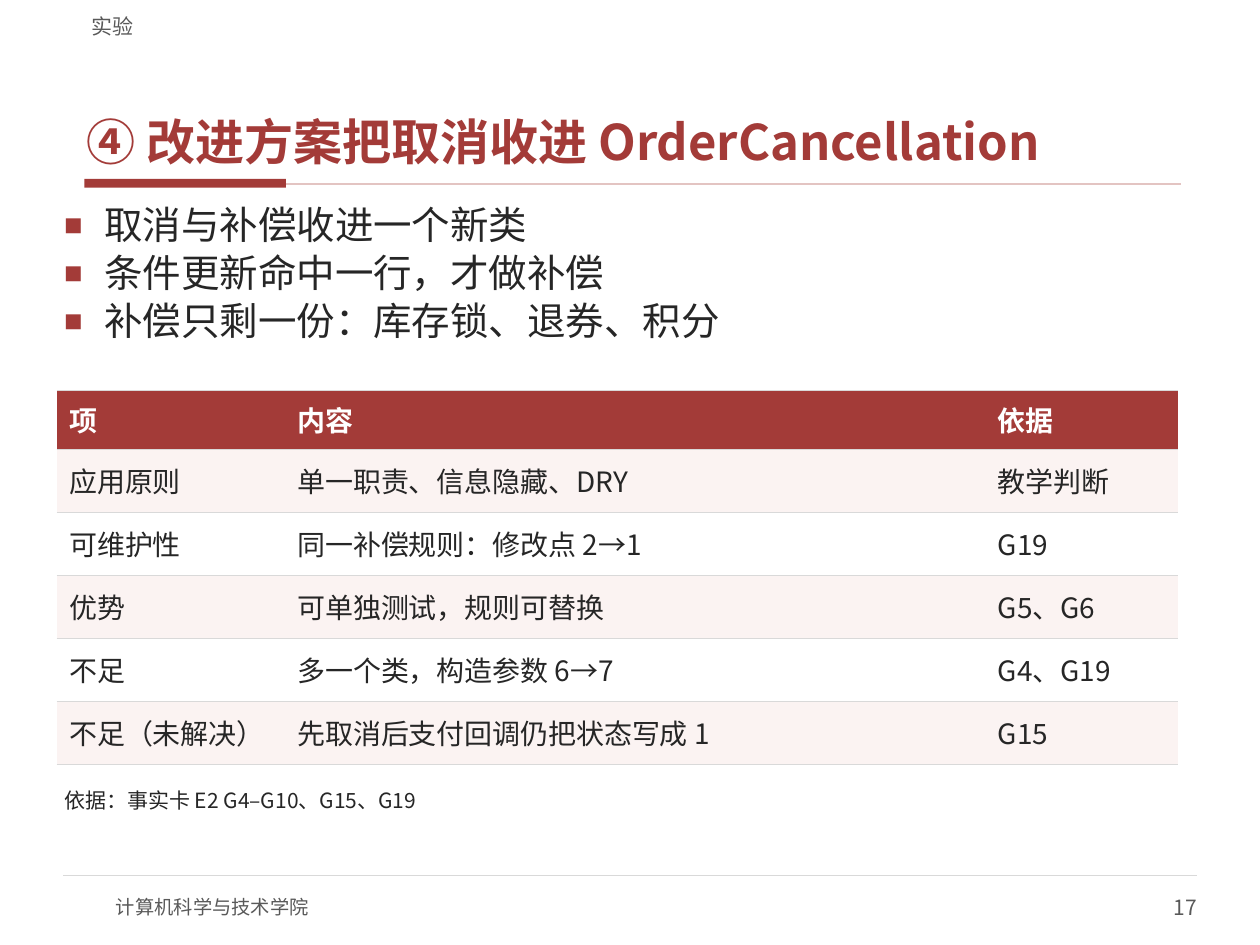
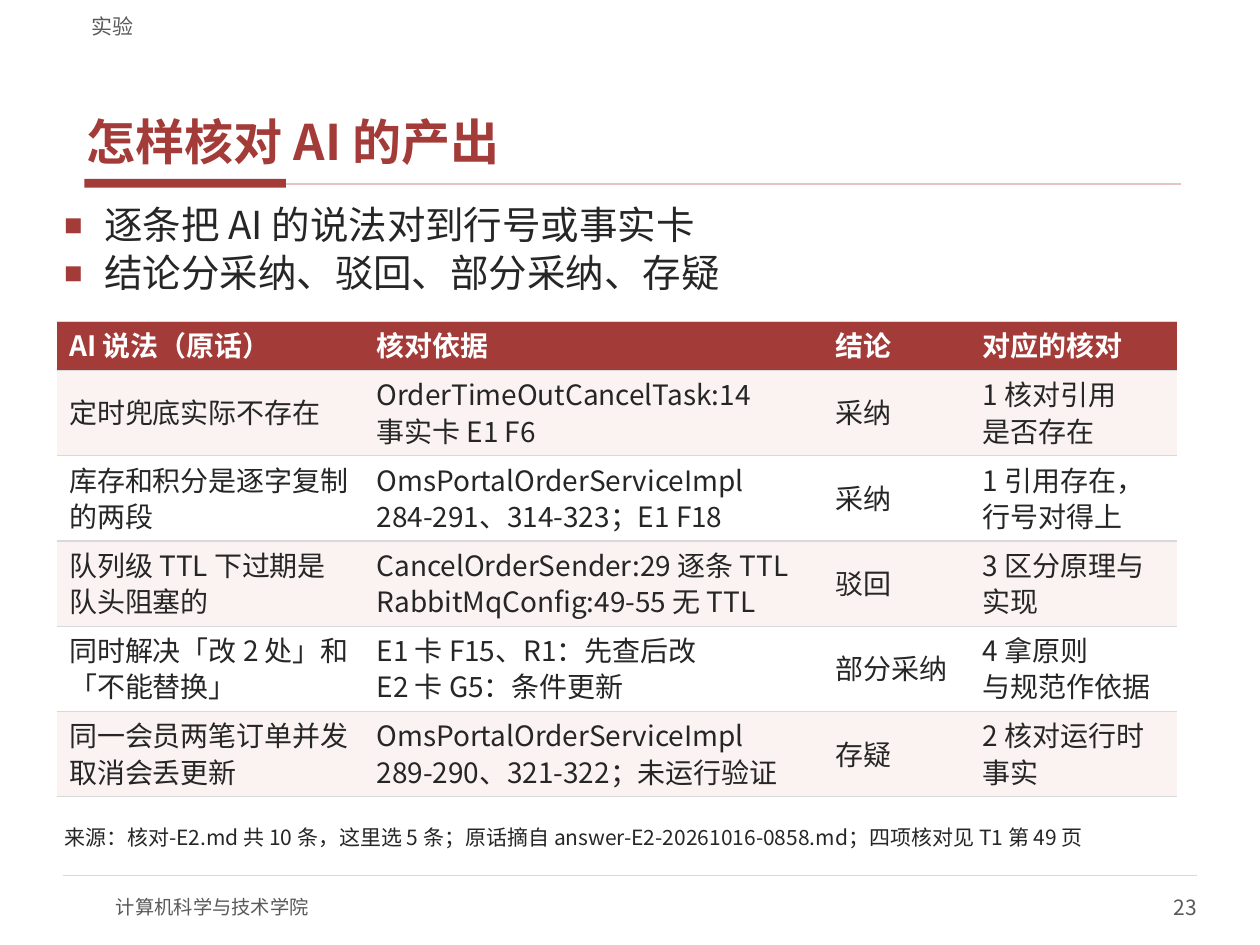
import dataclasses

import pptx
import pptx.dml.color
import pptx.enum.shapes
import pptx.enum.text
import pptx.oxml
import pptx.oxml.ns
import pptx.util
from pptx.util import Inches

Align = pptx.enum.text.PP_ALIGN
Anchor = pptx.enum.text.MSO_ANCHOR
qualify = pptx.oxml.ns.qn


@dataclasses.dataclass(frozen=True)
class Theme:
    font: str = "Noto Sans CJK SC"
    accent: str = "A33B38"
    accent_line: str = "E3C4C2"
    band: str = "FBF3F2"
    white: str = "FFFFFF"
    rule: str = "D9D9D9"
    ink: str = "262626"
    muted: str = "595959"
    title_size: float = 28
    body_size: float = 22
    table_size: float = 16
    note_size: float = 12
    footer_size: float = 11


def rgb(color):
    return pptx.dml.color.RGBColor.from_string(color)


def add_element(parent, tag, **attributes):
    element = parent.makeelement(qualify(tag), attributes)
    parent.append(element)
    return element


def add_bullet(para, color):
    properties = para._p.get_or_add_pPr()
    indent = Inches(0.32)
    properties.set("marL", str(indent))
    properties.set("indent", str(-indent))
    add_element(add_element(properties, "a:buClr"), "a:srgbClr", val=color)
    add_element(properties, "a:buSzPct", val="80000")
    add_element(properties, "a:buChar", char="■")


def write_text(frame, text, *, size, color, font, bold=False, align=Align.LEFT,
               anchor=Anchor.TOP, insets=(0.06, 0.02), line_spacing=1.0,
               before=0, after=0, bullet_color=None):
    frame.word_wrap = True
    frame.auto_size = pptx.enum.text.MSO_AUTO_SIZE.NONE
    frame.vertical_anchor = anchor
    frame.margin_left = frame.margin_right = Inches(insets[0])
    frame.margin_top = frame.margin_bottom = Inches(insets[1])
    frame.text = text
    for index, para in enumerate(frame.paragraphs):
        para.alignment = align
        para.line_spacing = line_spacing
        para.space_before = pptx.util.Pt(before if index else 0)
        para.space_after = pptx.util.Pt(after)
        if bullet_color:
            add_bullet(para, bullet_color)
        for span in para.runs:
            span.font.name = font
            span.font.size = pptx.util.Pt(size)
            span.font.bold = bold
            span.font.color.rgb = rgb(color)
            add_element(span.font._element, "a:ea", typeface=font)


class PageBuilder:
    def __init__(self, deck, theme):
        self.deck = deck
        self.theme = theme
        self.page = None

    def start(self, title, bullets, number):
        theme = self.theme
        self.page = self.deck.slides.add_slide(self.deck.slide_layouts[1])
        self.bar(0.67, 1.42, 1.6, 0.07)
        self.line(2.27, 9.37, 1.46, theme.accent_line, 1)
        self.line(0.5, 9.5, 6.95, theme.rule, 0.75)
        self.text("计算机科学与技术学院", 0.92, 7, 4, 0.4, size=theme.footer_size,
                  color=theme.muted, anchor=Anchor.MIDDLE, insets=(0, 0))
        self.text(str(number), 7.5, 7, 2, 0.4, size=theme.note_size, color=theme.muted,
                  align=Align.RIGHT, anchor=Anchor.MIDDLE, insets=(0, 0))
        self.text("实验", 0.63, 0.04, 8.75, 0.27, size=theme.note_size,
                  color=theme.muted, anchor=Anchor.BOTTOM, insets=(0.1, 0))
        self.title(title)
        self.bullets(bullets)

    def place(self, box, left, top, width, height):
        box.left, box.top = Inches(left), Inches(top)
        box.width, box.height = Inches(width), Inches(height)

    def title(self, text):
        box = self.page.shapes.title
        self.place(box, 0.63, 0.33, 8.75, 1.05)
        write_text(box.text_frame, text, size=self.theme.title_size, bold=True,
                   color=self.theme.accent, font=self.theme.font,
                   anchor=Anchor.BOTTOM, line_spacing=0.9, after=2)

    def bullets(self, items):
        box = self.page.placeholders[1]
        self.place(box, 0.45, 1.62, 9.1, 0.46 * len(items) - 0.01)
        write_text(box.text_frame, "\n".join(items), size=self.theme.body_size,
                   color=self.theme.ink, font=self.theme.font, line_spacing=0.9,
                   before=1.6, after=2, bullet_color=self.theme.accent)

    def text(self, text, left, top, width, height, **style):
        box = self.page.shapes.add_textbox(
            Inches(left), Inches(top), Inches(width), Inches(height))
        write_text(box.text_frame, text, font=self.theme.font, **style)

    def note(self, text, top):
        self.text(text, 0.45, top, 9.1, 0.32, size=self.theme.note_size,
                  color=self.theme.ink, after=2)

    def bar(self, left, top, width, height):
        bar = self.page.shapes.add_shape(
            pptx.enum.shapes.MSO_SHAPE.RECTANGLE,
            Inches(left), Inches(top), Inches(width), Inches(height))
        bar.shadow.inherit = False
        bar.fill.solid()
        bar.fill.fore_color.rgb = rgb(self.theme.accent)
        bar.line.fill.background()

    def line(self, start, end, top, color, width):
        line = self.page.shapes.add_connector(
            pptx.enum.shapes.MSO_CONNECTOR.STRAIGHT,
            Inches(start), Inches(top), Inches(end), Inches(top))
        line.line.color.rgb = rgb(color)
        line.line.width = pptx.util.Pt(width)
        add_element(line._element.spPr, "a:effectLst")

    def borders(self, cell):
        properties = cell._tc.get_or_add_tcPr()
        for side in ("a:lnL", "a:lnR"):
            add_element(add_element(properties, side, w="0"), "a:noFill")
        for side in ("a:lnT", "a:lnB"):
            edge = add_element(properties, side, w=str(pptx.util.Pt(0.75)))
            add_element(add_element(edge, "a:solidFill"), "a:srgbClr", val=self.theme.rule)

    def table(self, top, widths, header_height, row_height, rows):
        theme = self.theme
        heights = [header_height] + [row_height] * (len(rows) - 1)
        frame = self.page.shapes.add_table(
            len(rows), len(widths), Inches(0.45), Inches(top),
            Inches(sum(widths)), Inches(sum(heights)))
        table = frame.table
        table.first_row = table.horz_banding = False
        for column, width in zip(table.columns, widths):
            column.width = Inches(width)
        for index, (row, height, texts) in enumerate(zip(table.rows, heights, rows)):
            row.height = Inches(height)
            header = index == 0
            fill = theme.accent if header else theme.band if index % 2 else theme.white
            for cell, text in zip(row.cells, texts):
                self.borders(cell)
                cell.fill.solid()
                cell.fill.fore_color.rgb = rgb(fill)
                cell.vertical_anchor = Anchor.MIDDLE
                cell.margin_left = cell.margin_right = Inches(0.1)
                cell.margin_top = cell.margin_bottom = Inches(0.05)
                self.cell_text(cell, text, header)

    def cell_text(self, cell, text, header):
        theme = self.theme
        cell.text = text
        for para in cell.text_frame.paragraphs:
            para.line_spacing = 0.9
            para.space_before = para.space_after = pptx.util.Pt(0)
            for span in para.runs:
                span.font.name = theme.font
                span.font.size = pptx.util.Pt(theme.table_size)
                span.font.bold = header
                span.font.color.rgb = rgb(theme.white if header else theme.ink)
                add_element(span.font._element, "a:ea", typeface=theme.font)


def main():
    deck = pptx.Presentation()
    deck.slide_width, deck.slide_height = Inches(10), Inches(7.5)
    builder = PageBuilder(deck, Theme())

    builder.start("④ 改进方案把取消收进 OrderCancellation", [
        "取消与补偿收进一个新类",
        "条件更新命中一行，才做补偿",
        "补偿只剩一份：库存锁、退券、积分",
    ], 17)
    builder.table(3.1, (1.81, 5.56, 1.53), 0.47, 0.5, [
        ("项", "内容", "依据"),
        ("应用原则", "单一职责、信息隐藏、DRY", "教学判断"),
        ("可维护性", "同一补偿规则：修改点 2→1", "G19"),
        ("优势", "可单独测试，规则可替换", "G5、G6"),
        ("不足", "多一个类，构造参数 6→7", "G4、G19"),
        ("不足（未解决）", "先取消后支付回调仍把状态写成 1", "G15"),
    ])
    builder.note("依据：事实卡 E2 G4–G10、G15、G19", 6.23)

    builder.start("怎样核对 AI 的产出", [
        "逐条把 AI 的说法对到行号或事实卡",
        "结论分采纳、驳回、部分采纳、存疑",
    ], 23)
    builder.table(2.55, (2.44, 3.64, 1.17, 1.64), 0.39, 0.58, [
        ("AI 说法（原话）", "核对依据", "结论", "对应的核对"),
        ("定时兜底实际不存在", "OrderTimeOutCancelTask:14\n事实卡 E1 F6",
         "采纳", "1 核对引用\n是否存在"),
        ("库存和积分是逐字复制的两段",
         "OmsPortalOrderServiceImpl\n284-291、314-323；E1 F18",
         "采纳", "1 引用存在，行号对得上"),
        ("队列级 TTL 下过期是队头阻塞的",
         "CancelOrderSender:29 逐条 TTL\nRabbitMqConfig:49-55 无 TTL",
         "驳回", "3 区分原理与实现"),
        ("同时解决「改 2 处」和「不能替换」",
         "E1 卡 F15、R1：先查后改\nE2 卡 G5：条件更新",
         "部分采纳", "4 拿原则\n与规范作依据"),
        ("同一会员两笔订单并发取消会丢更新",
         "OmsPortalOrderServiceImpl\n289-290、321-322；未运行验证",
         "存疑", "2 核对运行时事实"),
    ])
    builder.note("来源：核对-E2.md 共 10 条，这里选 5 条；"
                 "原话摘自 answer-E2-20261016-0858.md；四项核对见 T1 第 49 页", 6.52)
    deck.save("out.pptx")


if __name__ == "__main__":
    main()
